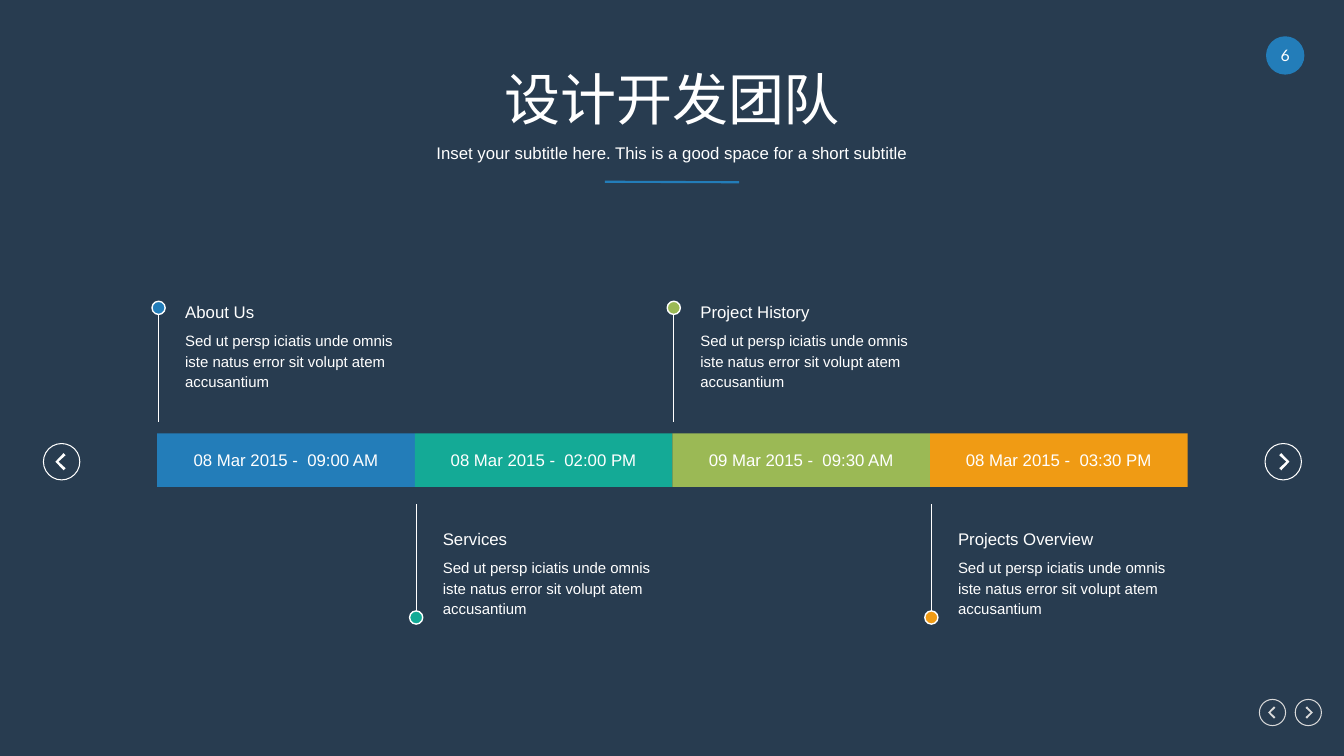
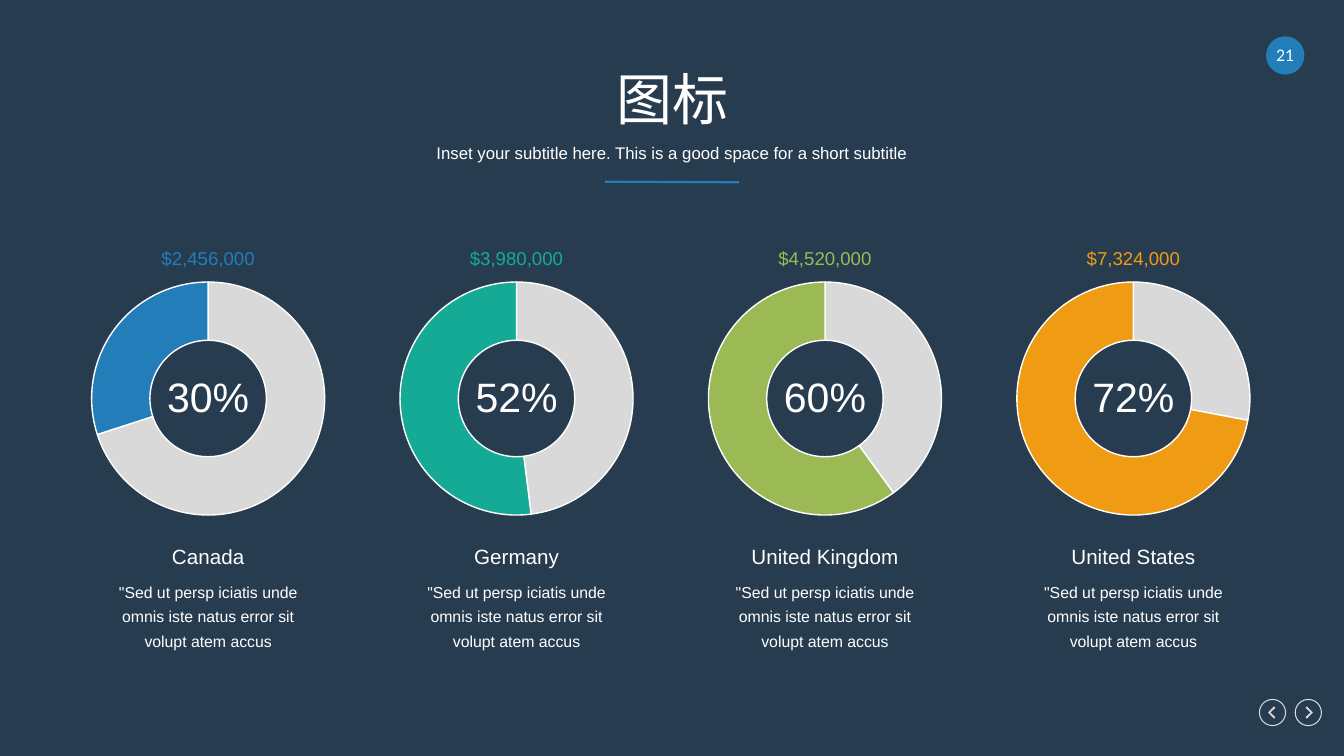
import pptx
import pptx.chart.data
import pptx.dml.color
import pptx.enum.chart
import pptx.enum.shapes
import pptx.enum.text
import pptx.oxml
import pptx.oxml.ns
import pptx.oxml.xmlchemy
import pptx.util

Pt = pptx.util.Pt
RGBColor = pptx.dml.color.RGBColor
SHAPE = pptx.enum.shapes.MSO_SHAPE
ALIGN = pptx.enum.text.PP_ALIGN
ANCHOR = pptx.enum.text.MSO_ANCHOR
qn = pptx.oxml.ns.qn

NAVY = RGBColor(0x28, 0x3C, 0x50)
BLUE = RGBColor(0x23, 0x7D, 0xB9)
TEAL = RGBColor(0x14, 0xAA, 0x96)
GREEN = RGBColor(0x9B, 0xB9, 0x55)
ORANGE = RGBColor(0xF0, 0x9B, 0x14)
GREY = RGBColor(0xD9, 0xD9, 0xD9)
WHITE = RGBColor(0xFF, 0xFF, 0xFF)
ACCENTS = (BLUE, TEAL, GREEN, ORANGE)

SUBTITLE = "Inset your subtitle here. This is a good space for a short subtitle"
EVENT_NOTE = "Sed ut persp iciatis unde omnis iste natus error sit volupt atem accusantium"
COUNTRY_NOTE = '"Sed ut persp iciatis unde omnis iste natus error sit volupt atem accus'
EVENTS = (
    ("08 Mar 2015 -  09:00 AM", "About Us"),
    ("08 Mar 2015 -  02:00 PM", "Services"),
    ("09 Mar 2015 -  09:30 AM", "Project History"),
    ("08 Mar 2015 -  03:30 PM", "Projects Overview"),
)
COUNTRIES = (
    ("Canada", "$2,456,000", 30),
    ("Germany", "$3,980,000", 52),
    ("United Kingdom", "$4,520,000", 60),
    ("United States", "$7,324,000", 72),
)
CHEVRON = ((0, 0.5), (0.8, 0), (1, 0.12), (0.3, 0.5), (1, 0.88), (0.8, 1))
PLOT_LAYOUT = (
    '<c:layout xmlns:c="http://schemas.openxmlformats.org/drawingml/2006/chart">'
    '<c:manualLayout><c:layoutTarget val="inner"/>'
    '<c:xMode val="edge"/><c:yMode val="edge"/>'
    '<c:x val="0.05"/><c:y val="0.06"/><c:w val="0.9"/><c:h val="0.88"/>'
    '</c:manualLayout></c:layout>'
)


def style_text(frame, sizes, color=WHITE, align=ALIGN.CENTER, anchor=ANCHOR.TOP, font="Arial"):
    frame.word_wrap = True
    frame.auto_size = pptx.enum.text.MSO_AUTO_SIZE.NONE
    frame.vertical_anchor = anchor
    frame.margin_left = frame.margin_right = frame.margin_top = frame.margin_bottom = 0
    for para, size in zip(frame.paragraphs, sizes):
        para.alignment = align
        para.space_before = Pt(0)
        for span in para.runs:
            span.font.name = font
            span.font.size = Pt(size)
            span.font.color.rgb = color


def add_text(page, left, top, width, height, text, sizes, **style):
    box = page.shapes.add_textbox(Pt(left), Pt(top), Pt(width), Pt(height))
    box.text_frame.text = text
    style_text(box.text_frame, sizes, **style)
    return box


def paint(shape, fill=None, line=None, weight=1):
    shape.shadow.inherit = False
    if fill is None:
        shape.fill.background()
    else:
        shape.fill.solid()
        shape.fill.fore_color.rgb = fill
    if line is None:
        shape.line.fill.background()
    else:
        shape.line.color.rgb = line
        shape.line.width = Pt(weight)
    return shape


def add_shape(page, kind, left, top, width, height, **colors):
    return paint(page.shapes.add_shape(kind, Pt(left), Pt(top), Pt(width), Pt(height)), **colors)


def add_line(page, x1, y1, x2, y2, color, weight):
    line = page.shapes.add_connector(
        pptx.enum.shapes.MSO_CONNECTOR.STRAIGHT, Pt(x1), Pt(y1), Pt(x2), Pt(y2))
    line.line.color.rgb = color
    line.line.width = Pt(weight)
    line.element.spPr.append(pptx.oxml.xmlchemy.OxmlElement("a:effectLst"))
    return line


def add_arrow_button(page, left, top, size, color, forward):
    ring = add_shape(page, SHAPE.OVAL, left, top, size, size, line=color, weight=0.75)
    side = 1 if forward else -1
    tip = left + size / 2 + side * 0.17 * size
    points = [(Pt(tip - side * 0.28 * size * x), Pt(top + size / 2 + 0.47 * size * (y - 0.5)))
              for x, y in CHEVRON]
    outline = page.shapes.build_freeform(*points[0])
    outline.add_line_segments(points[1:], close=True)
    return ring, paint(outline.convert_to_shape(), fill=color)


def prepare_layout(deck):
    background = deck.slide_master.background.fill
    background.solid()
    background.fore_color.rgb = NAVY
    layout = deck.slide_layouts[0]
    for holder in list(layout.placeholders):
        index = holder.placeholder_format.idx
        if index > 1:
            holder.element.getparent().remove(holder.element)
        else:
            top, height = ((46, 48.5), (97.2, 24))[index]
            holder.left, holder.width = Pt(62.6), Pt(835)
            holder.top, holder.height = Pt(top), Pt(height)
    return layout


def move_frame_to_layout(page, layout):
    parts = [add_line(page, 432, 129.8, 528, 130.2, BLUE, 1.5)]
    for left, forward in ((899.6, False), (925.2, True)):
        parts.extend(add_arrow_button(page, left, 499.6, 18.7, GREY, forward))
    for part in parts:
        layout.shapes.element.append(part.element)


def add_page(deck, layout, title, number):
    page = deck.slides.add_slide(layout)
    for holder, text, size in zip(page.placeholders, (title, SUBTITLE), (40, 12)):
        holder.text_frame.text = text
        style_text(holder.text_frame, [size], anchor=ANCHOR.MIDDLE)
    if len(deck.slides) == 1:
        move_frame_to_layout(page, layout)
    badge = add_shape(page, SHAPE.OVAL, 904.3, 25.9, 27.4, 27.4, fill=BLUE)
    badge.text_frame.text = str(number)
    style_text(badge.text_frame, [11.3], anchor=ANCHOR.MIDDLE, font="Lato")
    return page


def add_event(page, order, date, heading):
    color = ACCENTS[order]
    left = 112.3 + 184 * order
    above = order % 2 == 0
    bar = add_shape(page, SHAPE.RECTANGLE, left, 309.6, 184, 38.2, fill=color)
    bar.text_frame.text = date
    style_text(bar.text_frame, [12], anchor=ANCHOR.MIDDLE)
    stem = left + 1
    start, end, dot, note_top = (224.6, 301.7, 215.2, 213.8) if above else (436.4, 360, 436.4, 375.8)
    add_line(page, stem, start, stem, end, WHITE, 1)
    add_shape(page, SHAPE.OVAL, stem - 4.7, dot, 9.4, 9.4, fill=color, line=WHITE)
    note = add_text(page, left + 20, note_top, 156, 67, heading + "\n" + EVENT_NOTE,
                    (12, 10.7), align=ALIGN.LEFT)
    for para, spacing in zip(note.text_frame.paragraphs, (16, 14.7)):
        para.line_spacing = Pt(spacing)
        para.space_after = Pt(5.3)


def add_doughnut(page, left, top, width, height, share, color):
    data = pptx.chart.data.CategoryChartData()
    data.categories = ("1", "2")
    data.add_series("Series 1", (100 - share, share))
    chart = page.shapes.add_chart(
        pptx.enum.chart.XL_CHART_TYPE.DOUGHNUT,
        Pt(left), Pt(top), Pt(width), Pt(height), data).chart
    chart.has_legend = chart.has_title = False
    chart.font.name = "Arial"
    chart.font.size = Pt(18)
    chart.font.color.rgb = WHITE
    plot = chart.plots[0]
    plot.vary_by_categories = True
    for index, fill in enumerate((GREY, color)):
        form = plot.series[0].points[index].format
        form.fill.solid()
        form.fill.fore_color.rgb = fill
        form.line.color.rgb = WHITE
        form.line.width = Pt(1)
    area = chart.element.find(".//" + qn("c:plotArea"))
    for layout in area.findall(qn("c:layout")):
        area.remove(layout)
    area.insert(0, pptx.oxml.parse_xml(PLOT_LAYOUT))
    area.find(".//" + qn("c:holeSize")).set("val", "63")


def add_country(page, order, name, amount, share):
    color = ACCENTS[order]
    center = 148.7 + 220.3 * order
    add_doughnut(page, center - 92.5, 190, 185, 189.4, share, color)
    add_text(page, center - 38.5, 265, 77, 38, f"{share}%", [29.3])
    add_text(page, center - 38.5, 176.4, 77, 16.6, amount, [13.3], color=color)
    add_text(page, center - 79, 388.8, 158, 21.6, name, [14.7])
    note = add_text(page, center - 77.5, 412.6, 155, 62, COUNTRY_NOTE, [11.3])
    note.text_frame.paragraphs[0].line_spacing = Pt(17.3)


deck = pptx.Presentation()
deck.slide_width, deck.slide_height = Pt(960), Pt(540)
layout = prepare_layout(deck)

timeline = add_page(deck, layout, "设计开发团队", 6)
for left, forward in ((31, False), (903.6, True)):
    add_arrow_button(timeline, left, 316.8, 26, WHITE, forward)
for order, event in enumerate(EVENTS):
    add_event(timeline, order, *event)

shares = add_page(deck, layout, "图标", 21)
for order, country in enumerate(COUNTRIES):
    add_country(shares, order, *country)

deck.save("out.pptx")
